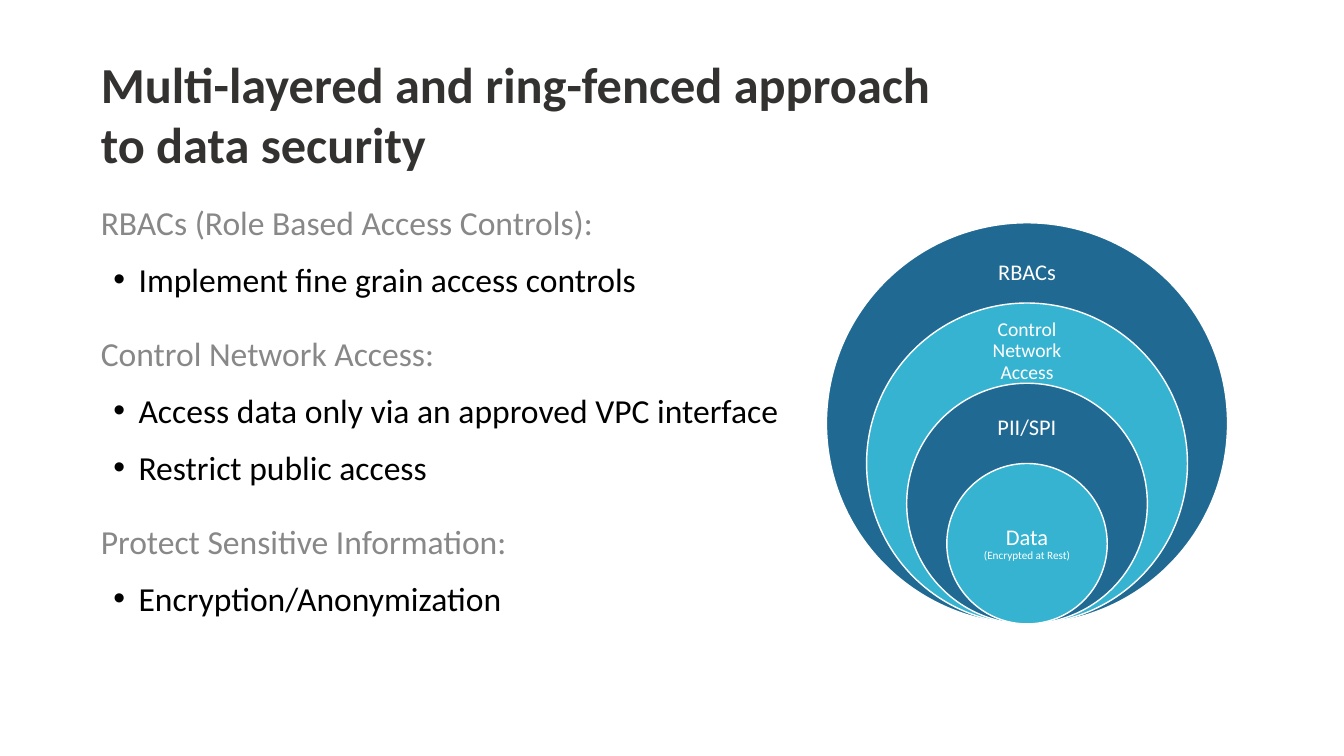
from lxml import etree
from pptx import Presentation
from pptx.dml.color import RGBColor
from pptx.enum.shapes import MSO_SHAPE as Shape
from pptx.enum.text import MSO_ANCHOR as Anchor, MSO_AUTO_SIZE as AutoSize, PP_ALIGN as Align
from pptx.oxml.ns import qn
from pptx.util import Inches, Pt

GREY, BLACK, WHITE = "888888", "000000", "FFFFFF"
NAVY, TEAL = "206993", "36B3D0"


def rgb(color):
    return RGBColor.from_string(color)


def format_text(paragraph, size, color, bold=False):
    """Style every run and line break of a paragraph."""
    for run in paragraph.runs:
        style = {"name": "Calibri", "size": Pt(size), "bold": bold}
        for key, value in style.items():
            setattr(run.font, key, value)
        run.font.color.rgb = rgb(color)
    for line_break in paragraph._p.findall(qn("a:br")):
        etree.SubElement(line_break, qn("a:rPr"), sz=str(size * 100))


prs = Presentation()
prs.slide_width, prs.slide_height = Inches(26.67), Inches(15)
slide = prs.slides.add_slide(prs.slide_layouts[5])

# Title
title = slide.shapes.title
title.left, title.top = Inches(2), Inches(1)
title.width, title.height = Inches(23.11), Inches(2.5)
frame = title.text_frame
frame_format = {"margin_left": 0, "margin_right": 0, "margin_top": 0, "margin_bottom": 0,
                "word_wrap": True, "auto_size": AutoSize.NONE}
for key, value in frame_format.items():
    setattr(frame, key, value)
frame.vertical_anchor = Anchor.MIDDLE
frame.text = "Multi-layered and ring-fenced approach\vto data security"
frame.paragraphs[0].alignment = Align.LEFT
format_text(frame.paragraphs[0], 72, "333230", bold=True)

# Security measures, grouped under headings
measures = [
    ("RBACs (Role Based Access Controls):", ["Implement fine grain access controls"]),
    ("Control Network Access:", ["Access data only via an approved VPC interface",
                                 "Restrict public access"]),
    ("Protect Sensitive Information:", ["Encryption/Anonymization"]),
]
body = slide.shapes.add_textbox(Inches(2), Inches(4), Inches(13.81), Inches(10.17)).text_frame
for key, value in frame_format.items():
    setattr(body, key, value)
for group, (heading, actions) in enumerate(measures):
    paragraph = body.add_paragraph() if group else body.paragraphs[0]
    paragraph.text = heading
    paragraph.space_before = Pt(48 if group else 24)
    format_text(paragraph, 48, GREY)
    for action in actions:
        paragraph = body.add_paragraph()
        paragraph.text = action
        paragraph.level = 1
        paragraph.space_before = Pt(24)
        format_text(paragraph, 48, BLACK)
        props = paragraph._p.get_or_add_pPr()
        props.set("marL", str(Inches(0.75)))
        props.set("indent", str(Inches(-0.5)))
        etree.SubElement(props, qn("a:buFont"), typeface="Arial")
        etree.SubElement(props, qn("a:buChar"), char="•")

# Nested rings that share their lowest point
CENTER, BOTTOM, OUTER = 20.38, 12.38, 7.96
LABEL_WIDTH = 2.24
rings = [  # share of outer diameter, fill, label top, label height, inset, lines with sizes
    (1.0, NAVY, 4.82, 1.19, 0.25, [("RBACs", 32)]),
    (0.8, TEAL, 6.4, 1.15, 0.22, [("Control Network\vAccess", 28)]),
    (0.6, NAVY, 7.97, 1.07, 0.25, [("PII/SPI", 32)]),
    (0.4, TEAL, 10, 1.59, 0.25, [("Data", 32), ("(Encrypted at Rest)", 16)]),
]
for share, fill, top, height, inset, lines in rings:
    diameter = OUTER * share
    ring = slide.shapes.add_shape(Shape.OVAL, Inches(CENTER - diameter / 2),
                                  Inches(BOTTOM - diameter), Inches(diameter), Inches(diameter))
    ring.shadow.inherit = False
    ring.fill.solid()
    ring.fill.fore_color.rgb = rgb(fill)
    ring.line.color.rgb = rgb(WHITE)
    ring.line.width = Pt(2)

    label = slide.shapes.add_textbox(Inches(CENTER - LABEL_WIDTH / 2), Inches(top),
                                     Inches(LABEL_WIDTH), Inches(height)).text_frame
    label.word_wrap = True
    label.vertical_anchor = Anchor.MIDDLE
    for side in ("left", "right", "top", "bottom"):
        setattr(label, f"margin_{side}", Inches(inset))
    for row, (text, size) in enumerate(lines):
        paragraph = label.add_paragraph() if row else label.paragraphs[0]
        paragraph.text = text
        paragraph.alignment = Align.CENTER
        paragraph.line_spacing = 0.9
        format_text(paragraph, size, WHITE)

prs.save("out.pptx")
